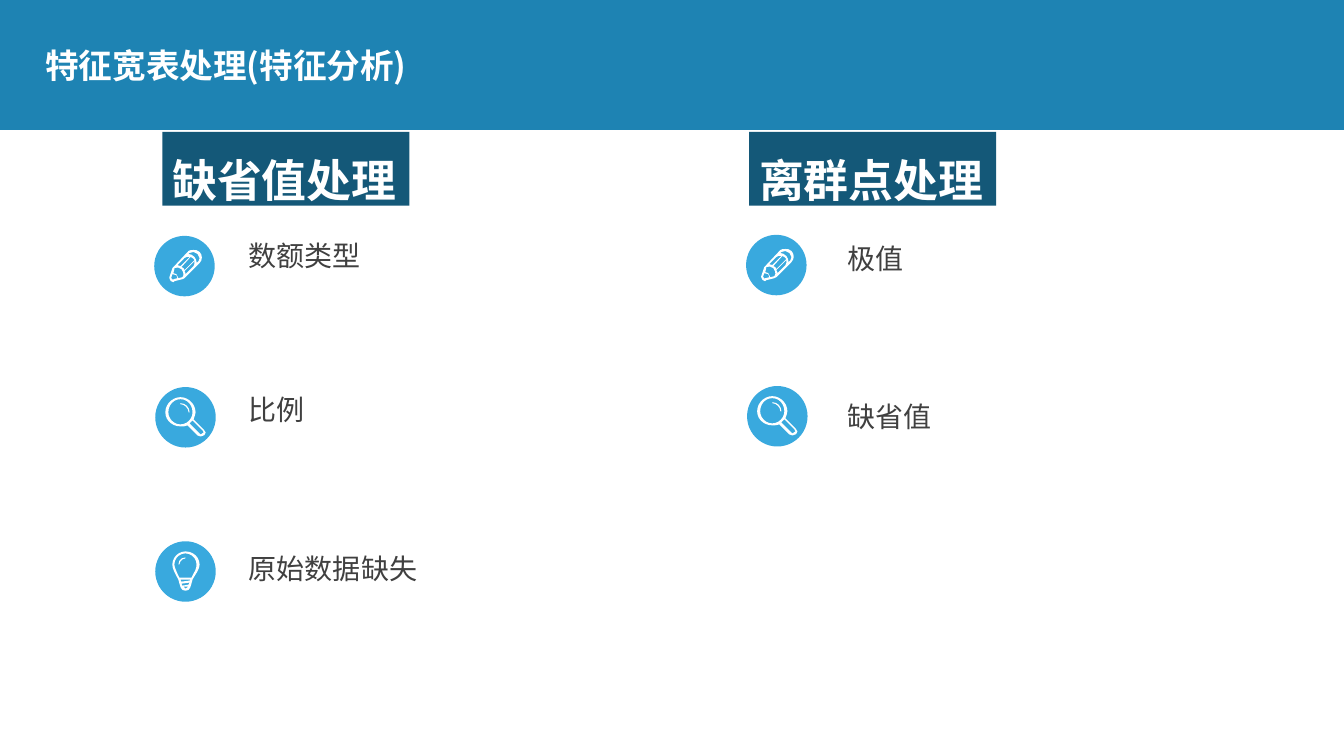
from math import dist

from pptx import Presentation
from pptx.dml.color import RGBColor
from pptx.enum.shapes import MSO_SHAPE
from pptx.enum.text import MSO_ANCHOR, MSO_AUTO_SIZE, PP_ALIGN
from pptx.util import Inches, Pt

RECTANGLE, OVAL = MSO_SHAPE.RECTANGLE, MSO_SHAPE.OVAL
TOP, MIDDLE = MSO_ANCHOR.TOP, MSO_ANCHOR.MIDDLE
GROW, LEFT = MSO_AUTO_SIZE.SHAPE_TO_FIT_TEXT, PP_ALIGN.LEFT

FONT = "Noto Sans CJK SC"
BLUE, DARK_BLUE, LIGHT_BLUE = "1E83B3", "145878", "39A9DE"
WHITE, GREY = "FFFFFF", "404040"
CIRCLE_SIZE = 0.6
CURVE_STEP = 3  # hundredths of an inch between points on a curve

# Icon outlines in hundredths of an inch: a pair is a straight step,
# six numbers are a cubic curve (two control points and the end point).
PENCIL = [
    # Body
    [(30, 2), (28, 0, 26, 0, 24, 0), (22, 0, 20, 0, 19, 1), (4, 17),
     (3, 18), (0, 27), (0, 28), (0, 30, 2, 32, 4, 32),
     (5, 31), (13, 29), (15, 28), (30, 13), (33, 10, 33, 5, 30, 2)],
    # Eraser
    [(29, 11), (27, 13), (27, 12), (27, 10, 26, 9, 25, 7),
     (23, 5, 21, 4, 19, 4), (20, 3), (21, 2, 22, 2, 24, 2),
     (25, 2, 27, 2, 28, 4), (29, 5, 30, 6, 30, 8), (30, 9, 30, 10, 29, 11)],
    # Wood and tip
    [(9, 28), (9, 27, 8, 25, 7, 24), (6, 23, 5, 23, 4, 23), (5, 19), (5, 18),
     (7, 17, 10, 17, 12, 19), (14, 22, 15, 25, 13, 27)],
    [(4, 29), (4, 30), (3, 30, 2, 29, 2, 28), (2, 27), (3, 24),
     (4, 24, 6, 24, 7, 25), (8, 26, 8, 27, 8, 28)],
    # Sides
    [(11, 16), (10, 16, 9, 16, 8, 15), (15, 8), (17, 7, 18, 6, 20, 7)],
    [(15, 20), (14, 18), (12, 17), (21, 7), (23, 8), (25, 10)],
    [(16, 23), (15, 21), (25, 11), (25, 13, 25, 15, 24, 16), (16, 24)],
]
MAGNIFIER = [
    # Rim and handle
    [(15, 0), (23, 0, 30, 7, 30, 15), (30, 17, 29, 19, 28, 22), (38, 32),
     (39, 33, 40, 34, 40, 35), (40, 37, 38, 39, 35, 39),
     (34, 39, 33, 39, 32, 38), (22, 28), (20, 29, 18, 29, 15, 29),
     (7, 29, 0, 23, 0, 15), (0, 7, 7, 0, 15, 0)],
    # Lens
    [(15, 27), (22, 27, 27, 21, 27, 15), (27, 8, 22, 2, 15, 2),
     (8, 2, 3, 8, 3, 15), (3, 21, 8, 27, 15, 27)],
    # Inside of the handle
    [(34, 36), (35, 37), (37, 37, 38, 36, 38, 35), (37, 33), (27, 23),
     (26, 25, 25, 26, 24, 26)],
]
MAGNIFIER_GLINT = [
    [(15, 6), (20, 6, 24, 10, 24, 15), (23, 15), (23, 11, 19, 7, 15, 7)],
]
BULB = [
    # Body
    [(13, 0), (6, 0, 0, 6, 0, 13), (0, 18, 4, 24, 6, 28),
     (8, 35, 8, 39, 13, 39), (18, 39, 18, 35, 20, 28),
     (22, 24, 27, 18, 27, 13), (27, 6, 21, 0, 13, 0)],
    # Glass
    [(19, 26), (7, 26), (7, 24, 6, 23, 5, 22), (4, 19, 2, 16, 2, 13),
     (2, 7, 7, 2, 13, 2), (19, 2, 24, 7, 24, 13), (24, 16, 23, 19, 21, 22),
     (20, 23, 19, 24, 19, 26)],
    # Screw base
    [(13, 37), (12, 37, 11, 37, 11, 35), (16, 35), (15, 37, 15, 37, 13, 37)],
    [(9, 30), (8, 28), (18, 28), (17, 29)],
    [(16, 33), (10, 34), (9, 32), (17, 31)],
]
BULB_GLINT = [
    [(13, 6), (9, 6, 6, 9, 6, 13), (7, 13), (7, 10, 10, 7, 13, 7)],
]
# Parts of each icon and their offset inside the circle
ICONS = {
    "pencil": ([PENCIL], 0.15, 0.14),
    "magnifier": ([MAGNIFIER, MAGNIFIER_GLINT], 0.1, 0.1),
    "bulb": ([BULB, BULB_GLINT], 0.17, 0.1),
}

# Heading, its left edge, then items: label, icon, circle left and top, label left and top
SECTIONS = [
    ("缺省值处理", 1.61, [
        ("数额类型", "pencil", 1.53, 2.34, 2.37, 2.32),
        ("比例", "magnifier", 1.54, 3.84, 2.37, 3.84),
        ("原始数据缺失", "bulb", 1.54, 5.37, 2.37, 5.42),
    ]),
    ("离群点处理", 7.43, [
        ("极值", "pencil", 7.4, 2.33, 8.31, 2.35),
        ("缺省值", "magnifier", 7.41, 3.83, 8.31, 3.91),
    ]),
]


def color(hex_string):
    return RGBColor.from_string(hex_string)


def paint(shape, fill):
    shape.shadow.inherit = False
    shape.fill.solid()
    shape.fill.fore_color.rgb = color(fill)
    shape.line.fill.background()


def add_box(slide, kind, left, top, width, height, fill):
    shape = slide.shapes.add_shape(
        kind, Inches(left), Inches(top), Inches(width), Inches(height))
    paint(shape, fill)
    return shape


def write(shape, text, size, text_color, bold=False, anchor=TOP, wrap=True):
    text_frame = shape.text_frame
    text_frame.text = text
    text_frame.word_wrap = wrap
    text_frame.vertical_anchor = anchor
    text_frame.auto_size = GROW if anchor == TOP else MSO_AUTO_SIZE.NONE
    paragraph = text_frame.paragraphs[0]
    paragraph.alignment = LEFT
    font = paragraph.runs[0].font
    font.name, font.size, font.bold = FONT, Pt(size), bold
    font.color.rgb = color(text_color)
    return paragraph


def add_text(slide, left, top, width, height, text, size, text_color, **style):
    box = slide.shapes.add_textbox(
        Inches(left), Inches(top), Inches(width), Inches(height))
    return write(box, text, size, text_color, **style)


def trace(contour):
    """Turn the steps of a contour into points, sampling its curves."""
    points = [contour[0]]
    for step in contour[1:]:
        controls = [points[-1], step[:2], step[2:4], step[4:]]
        count = max(1, round(dist(points[-1], step[-2:]) / CURVE_STEP))
        if len(step) == 2 or count == 1:
            points.append(step[-2:])
            continue
        for index in range(1, count + 1):
            t = index / count
            weights = ((1 - t) ** 3, 3 * t * (1 - t) ** 2,
                       3 * t ** 2 * (1 - t), t ** 3)
            points.append(tuple(
                sum(weight * point[axis] for weight, point in zip(weights, controls))
                for axis in (0, 1)))
    return points


def add_outline(shapes, contours, left, top):
    builder = None
    for contour in contours:
        points = [(Inches(left + x / 100), Inches(top + y / 100))
                  for x, y in trace(contour)]
        if builder is None:
            builder = shapes.build_freeform(*points[0])
        else:
            builder.move_to(*points[0])
        builder.add_line_segments(points[1:], close=True)
    paint(builder.convert_to_shape(), WHITE)


def add_icon(slide, name, left, top):
    add_box(slide, OVAL, left, top, CIRCLE_SIZE, CIRCLE_SIZE, LIGHT_BLUE)
    parts, offset_x, offset_y = ICONS[name]
    shapes = slide.shapes if len(parts) == 1 else slide.shapes.add_group_shape().shapes
    for contours in parts:
        add_outline(shapes, contours, left + offset_x, top + offset_y)


def add_heading(slide, text, left):
    box = add_box(slide, RECTANGLE, left, 1.31, 2.45, 0.73, DARK_BLUE)
    write(box, text, 32, WHITE, bold=True, wrap=False).line_spacing = 1.3


def main():
    presentation = Presentation()
    presentation.slide_width, presentation.slide_height = Inches(13.33), Inches(7.5)
    slide = presentation.slides.add_slide(presentation.slide_layouts[6])

    # Blue band above a white page
    slide.background.fill.solid()
    slide.background.fill.fore_color.rgb = color(BLUE)
    add_box(slide, RECTANGLE, 0, 1.29, 13.33, 6.21, WHITE)

    # Title
    title = add_text(slide, 0.35, 0.28, 7.27, 0.79, "特征宽表处理(特征分析)",
                     24, WHITE, bold=True, anchor=MIDDLE)
    title.line_spacing = 0.9
    title.space_before = Pt(10)

    # Columns
    for heading, heading_left, items in SECTIONS:
        add_heading(slide, heading, heading_left)
        for label, icon, circle_left, circle_top, label_left, label_top in items:
            add_icon(slide, icon, circle_left, circle_top)
            add_text(slide, label_left, label_top, 2.73, 0.44, label, 20, GREY)

    presentation.save("out.pptx")


if __name__ == "__main__":
    main()
